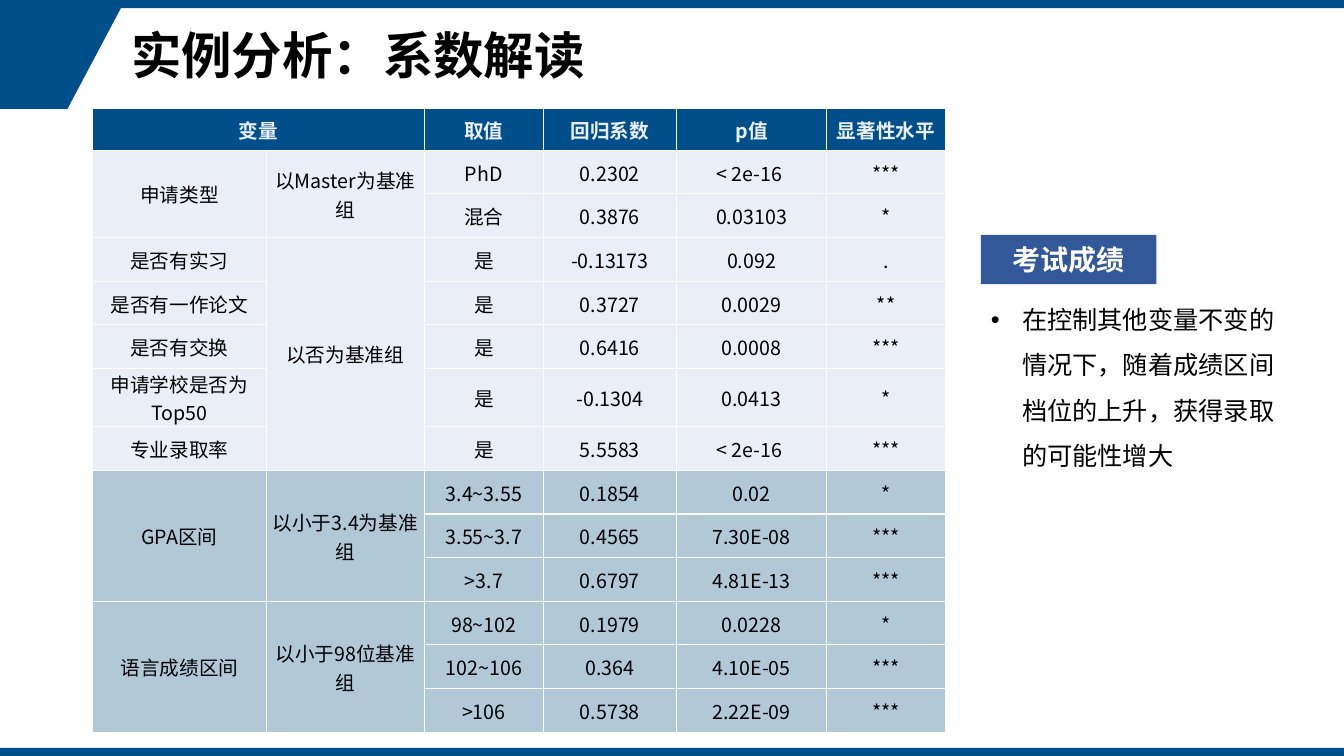
from lxml.etree import SubElement
from pptx import Presentation
from pptx.dml.color import RGBColor
from pptx.enum.shapes import MSO_SHAPE as Shape
from pptx.enum.text import MSO_ANCHOR as Anchor, MSO_AUTO_SIZE as AutoSize, PP_ALIGN as Align
from pptx.oxml import parse_xml
from pptx.oxml.ns import nsdecls, qn
from pptx.util import Inches, Pt

NAVY = RGBColor(0x00, 0x4F, 0x8A)
BADGE_BLUE = RGBColor(0x33, 0x58, 0x99)
PALE = RGBColor(0xEA, 0xEF, 0xF7)
STEEL = RGBColor(0xB1, 0xC8, 0xD7)
HEADER_TEXT = RGBColor(0xEB, 0xEF, 0xF7)
WHITE = RGBColor(0xFF, 0xFF, 0xFF)
BLACK = RGBColor(0x00, 0x00, 0x00)
FONT = "Noto Sans CJK SC"

COLUMN_WIDTHS = [1.72, 1.57, 1.18, 1.32, 1.49, 1.18]
HEADER_HEIGHT = 0.41
FIRST_SCORE_ROW = 8  # exam scores are highlighted from here on

# None continues the cell above (in the header, the cell to the left)
ROWS = [
    ["变量", None, "取值", "回归系数", "p值", "显著性水平"],
    ["申请类型", "以Master为基准组", "PhD", "0.2302", "< 2e-16 ", "***"],
    [None, None, "混合", "0.3876", "0.03103", "*"],
    ["是否有实习", "以否为基准组", "是", "-0.13173", "0.092", "."],
    ["是否有一作论文", None, "是", "0.3727", "0.0029", "**"],
    ["是否有交换", None, "是", "0.6416", "0.0008", "***"],
    ["申请学校是否为Top50", None, "是", "-0.1304", "0.0413", "*"],
    ["专业录取率", None, "是", "5.5583", "< 2e-16 ", "***"],
    ["GPA区间", "以小于3.4为基准组", "3.4~3.55", "0.1854", "0.02", "*"],
    [None, None, "3.55~3.7", "0.4565", "7.30E-08", "***"],
    [None, None, ">3.7", "0.6797", "4.81E-13", "***"],
    ["语言成绩区间", "以小于98位基准组", "98~102", "0.1979", "0.0228", "*"],
    [None, None, "102~106", "0.364", "4.10E-05", "***"],
    [None, None, ">106", "0.5738", "2.22E-09", "***"],
]


def add_span(para, text, size, color, bold=False):
    span = para.add_run()
    span.text = text
    span.font.size = Pt(size)
    span.font.bold = bold
    span.font.color.rgb = color
    span.font.name = FONT
    SubElement(span.font._element, qn("a:ea"), typeface=FONT)


def paint(shape, color):
    shape.shadow.inherit = False
    shape.fill.solid()
    shape.fill.fore_color.rgb = color
    shape.line.fill.background()


def add_block(page, left, top, width, height, color):
    block = page.shapes.add_shape(
        Shape.RECTANGLE, Inches(left), Inches(top), Inches(width), Inches(height))
    paint(block, color)
    return block


def add_frame(page, width, height, bar=0.08):
    # Slanted corner
    corner = page.shapes.build_freeform(Inches(0), Inches(bar), scale=1.0)
    corner.add_line_segments(
        [(Inches(x), Inches(bar + y)) for x, y in ((1.2, 0), (0.67, 1), (0, 1))])
    paint(corner.convert_to_shape(), NAVY)
    # Top and bottom bars
    for top in (0, height - bar):
        add_block(page, 0, top, width, bar, NAVY)


def set_title(page, text, left, top, width, height):
    title = page.shapes.title
    title.left, title.top = Inches(left), Inches(top)
    title.width, title.height = Inches(width), Inches(height)
    frame = title.text_frame
    frame.vertical_anchor = Anchor.MIDDLE
    para = frame.paragraphs[0]
    para.alignment = Align.LEFT
    para.line_spacing = 0.9
    add_span(para, text, 36, BLACK, bold=True)


def format_cell(cell, fill):
    cell.fill.solid()
    cell.fill.fore_color.rgb = fill
    cell.vertical_anchor = Anchor.MIDDLE
    cell.margin_left = cell.margin_right = cell.margin_top = Inches(0.01)
    cell.margin_bottom = 0
    properties = cell._tc.get_or_add_tcPr()
    for index, side in enumerate("LRTB"):
        properties.insert(index, parse_xml(
            f'<a:ln{side} {nsdecls("a")} w="{Pt(1)}"><a:solidFill>'
            f'<a:srgbClr val="{WHITE}"/></a:solidFill></a:ln{side}>'))


def add_coefficients(page, left, top, width, height):
    table = page.shapes.add_table(
        len(ROWS), len(COLUMN_WIDTHS),
        Inches(left), Inches(top), Inches(width), Inches(height)).table
    for column, column_width in zip(table.columns, COLUMN_WIDTHS):
        column.width = Inches(column_width)
    for row in table.rows:
        row.height = Inches((height - HEADER_HEIGHT) / (len(ROWS) - 1))
    table.rows[0].height = Inches(HEADER_HEIGHT)

    # Cells
    for r, values in enumerate(ROWS):
        header = r == 0
        fill = NAVY if header else PALE if r < FIRST_SCORE_ROW else STEEL
        for c, text in enumerate(values):
            cell = table.cell(r, c)
            format_cell(cell, fill)
            if text is None:
                continue
            para = cell.text_frame.paragraphs[0]
            para.alignment = Align.CENTER
            add_span(para, text, 14, HEADER_TEXT if header else BLACK, header)

    # Merged cells
    table.cell(0, 0).merge(table.cell(0, 1))
    for c in (0, 1):
        starts = [r for r in range(1, len(ROWS)) if ROWS[r][c] is not None]
        for start, end in zip(starts, starts[1:] + [len(ROWS)]):
            if end - start > 1:
                table.cell(start, c).merge(table.cell(end - 1, c))


def add_finding(page, heading, text, left, top, width, height):
    # Heading badge
    badge_height = 0.49
    badge = add_block(page, left, top, 1.74, badge_height, BADGE_BLUE)
    badge.text_frame.vertical_anchor = Anchor.MIDDLE
    para = badge.text_frame.paragraphs[0]
    para.alignment = Align.CENTER
    add_span(para, heading, 20, WHITE, bold=True)

    # Bulleted explanation
    box = page.shapes.add_textbox(Inches(left), Inches(top + badge_height),
                                  Inches(width), Inches(height - badge_height))
    frame = box.text_frame
    frame.word_wrap = True
    frame.auto_size = AutoSize.SHAPE_TO_FIT_TEXT
    para = frame.paragraphs[0]
    para.line_spacing = 1.5
    properties = para._p.get_or_add_pPr()
    properties.set("marL", str(Inches(0.31)))
    properties.set("indent", str(-Inches(0.31)))
    SubElement(properties, qn("a:buFont"), typeface="Arial")
    SubElement(properties, qn("a:buChar"), char="•")
    add_span(para, text, 18, BLACK)


def main():
    deck = Presentation()
    deck.slide_width, deck.slide_height = Inches(13.33), Inches(7.5)
    page = deck.slides.add_slide(deck.slide_layouts[5])
    add_frame(page, 13.33, 7.5)
    set_title(page, "实例分析：系数解读", 1.2, 0.08, 11.22, 1)
    add_coefficients(page, 0.92, 1.08, 8.46, 6.04)
    add_finding(page, "考试成绩",
                "在控制其他变量不变的情况下，随着成绩区间档位的上升，获得录取的可能性增大",
                9.73, 2.33, 3.23, 2.36)
    deck.save("out.pptx")


if __name__ == "__main__":
    main()
